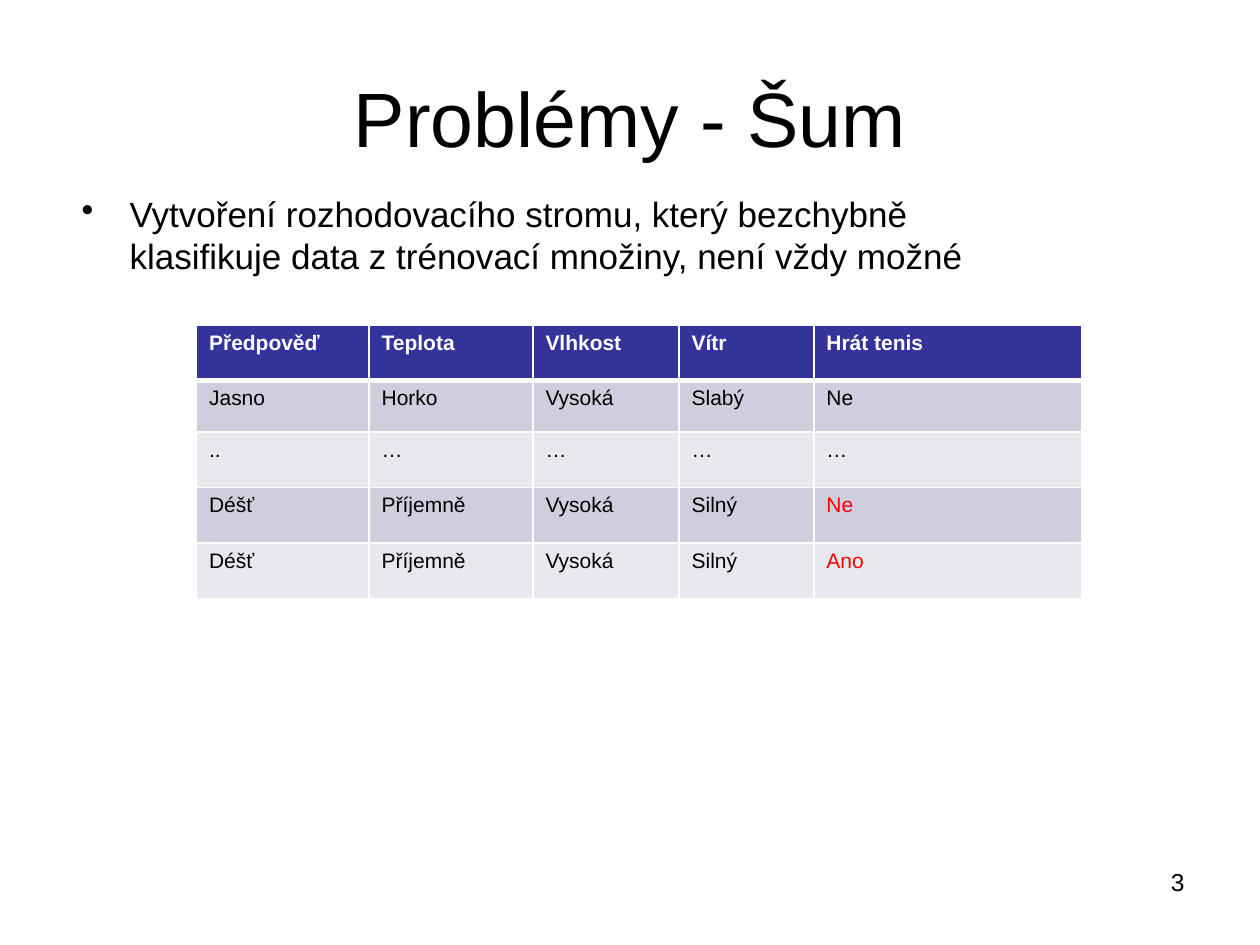
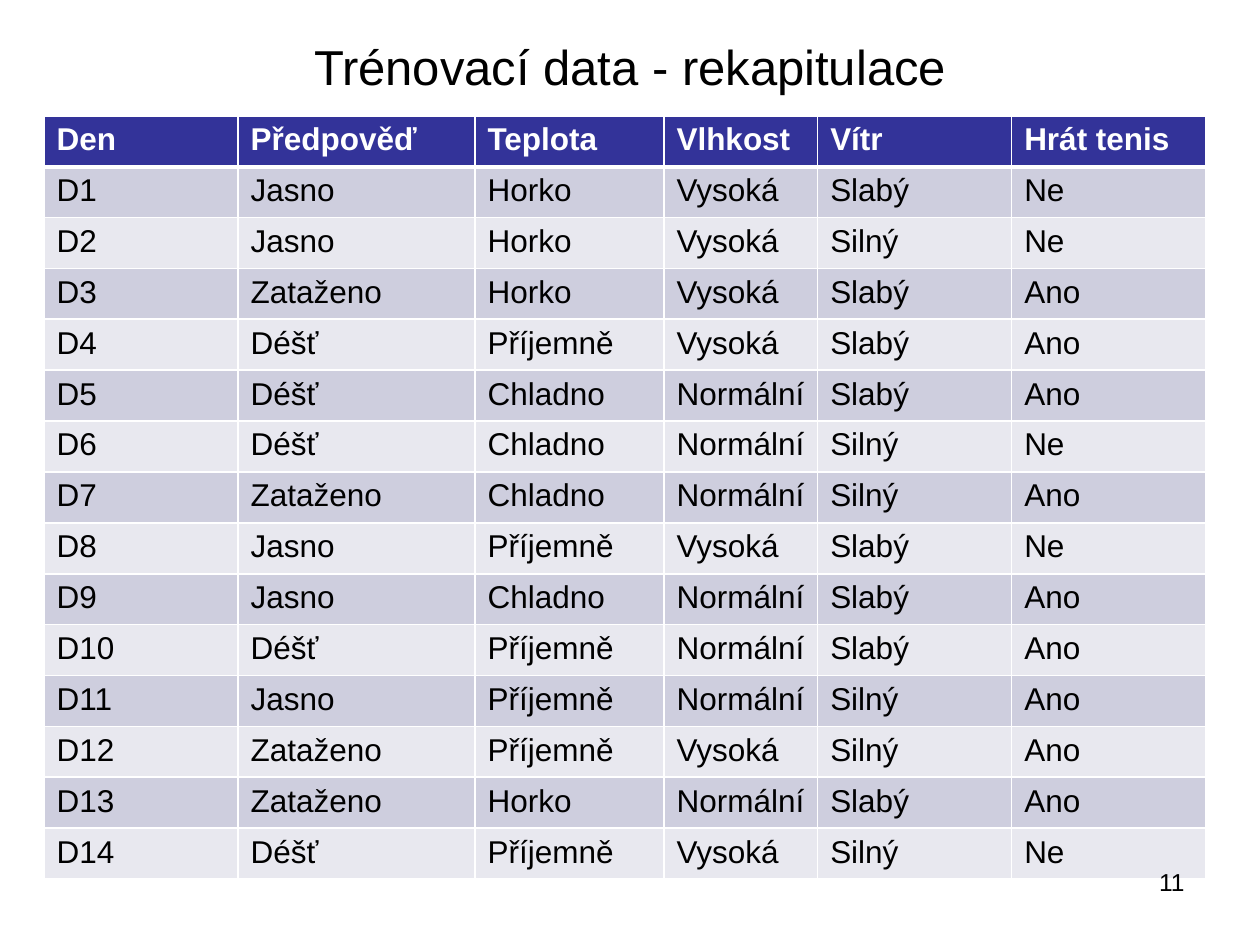
"""Build two slides about noise and training data for decision trees."""
from dataclasses import dataclass
from typing import Optional

import pptx
import pptx.dml.color
import pptx.enum.text
import pptx.oxml
import pptx.oxml.ns
import pptx.slide
import pptx.table
import pptx.text.text
import pptx.util

Inches = pptx.util.Inches
Align = pptx.enum.text.PP_ALIGN
Anchor = pptx.enum.text.MSO_ANCHOR

FONT = "Arial"
COLORS = {
    "text": "000000",
    "header": "333399",
    "header_text": "FFFFFF",
    "band_dark": "CECEDE",
    "band_light": "E8E8EF",
    "border": "FFFFFF",
    "conflict": "FF0000",
}
THIN, THICK = 1, 3


@dataclass(frozen=True)
class TextBox:
    left: float
    top: float
    width: float
    height: float
    size: int
    align: Align = Align.LEFT
    anchor: Anchor = Anchor.TOP
    bullet_indent: Optional[float] = None


@dataclass(frozen=True)
class DataTable:
    left: float
    top: float
    columns: tuple[float, ...]
    row_heights: tuple[float, ...]
    size: int
    rows: list[tuple[str, ...]]
    conflicts: frozenset[tuple[int, int]] = frozenset()


ATTRIBUTES = ("Předpověď", "Teplota", "Vlhkost", "Vítr", "Hrát tenis")
LARGE_TITLE = TextBox(0.5, 0.3, 9, 1.25, 44, Align.CENTER, Anchor.MIDDLE)
SMALL_TITLE = TextBox(0.5, 0.21, 9, 0.63, 28, Align.CENTER, Anchor.MIDDLE)
BODY = TextBox(0.55, 1.48, 7.73, 4.95, 20, bullet_indent=0.38)
SLIDE_NUMBER = TextBox(7.17, 6.83, 2.33, 0.52, 14, Align.RIGHT)

NOISE_TABLE = DataTable(
    1.56, 2.58, (1.37, 1.3, 1.16, 1.07, 2.13), (0.44, 0.41, 0.44, 0.44, 0.44), 12,
    [
        ATTRIBUTES,
        ("Jasno", "Horko", "Vysoká", "Slabý", "Ne"),
        ("..", "…", "…", "…", "…"),
        ("Déšť", "Příjemně", "Vysoká", "Silný", "Ne"),
        ("Déšť", "Příjemně", "Vysoká", "Silný", "Ano"),
    ],
    frozenset({(3, 4), (4, 4)}),
)

TRAINING_DAYS = (
    "Jasno Horko Vysoká Slabý Ne",
    "Jasno Horko Vysoká Silný Ne",
    "Zataženo Horko Vysoká Slabý Ano",
    "Déšť Příjemně Vysoká Slabý Ano",
    "Déšť Chladno Normální Slabý Ano",
    "Déšť Chladno Normální Silný Ne",
    "Zataženo Chladno Normální Silný Ano",
    "Jasno Příjemně Vysoká Slabý Ne",
    "Jasno Chladno Normální Slabý Ano",
    "Déšť Příjemně Normální Slabý Ano",
    "Jasno Příjemně Normální Silný Ano",
    "Zataženo Příjemně Vysoká Silný Ano",
    "Zataženo Horko Normální Slabý Ano",
    "Déšť Příjemně Vysoká Silný Ne",
)
TRAINING_HEIGHT = 6.02
SHORT_ROWS = (1, 9)
SHORT_HEIGHT = 0.38
ROW_COUNT = len(TRAINING_DAYS) + 1
FULL_HEIGHT = (TRAINING_HEIGHT - SHORT_HEIGHT * len(SHORT_ROWS)) / (ROW_COUNT - len(SHORT_ROWS))

TRAINING_TABLE = DataTable(
    0.35, 0.92, (1.54, 1.88, 1.5, 1.22, 1.54, 1.54),
    tuple(SHORT_HEIGHT if row in SHORT_ROWS else FULL_HEIGHT for row in range(ROW_COUNT)),
    18,
    [("Den", *ATTRIBUTES)]
    + [(f"D{day}", *values.split()) for day, values in enumerate(TRAINING_DAYS, 1)],
)


def color(name: str) -> pptx.dml.color.RGBColor:
    return pptx.dml.color.RGBColor.from_string(COLORS[name])


def add_run(paragraph: pptx.text.text._Paragraph, text: str, size: int,
            color_name: str = "text", bold: bool = False) -> None:
    run = paragraph.add_run()
    run.text = text
    run.font.name = FONT
    run.font.size = pptx.util.Pt(size)
    run.font.bold = bold
    run.font.color.rgb = color(color_name)


def add_bullet(paragraph: pptx.text.text._Paragraph, indent: float) -> None:
    properties = paragraph._p.get_or_add_pPr()
    properties.set("marL", str(Inches(indent)))
    properties.set("indent", str(-Inches(indent)))
    properties.append(pptx.oxml.parse_xml(
        f'<a:buChar {pptx.oxml.ns.nsdecls("a")} char="•"/>'))


def add_text(slide: pptx.slide.Slide, box: TextBox, text: str) -> None:
    shape = slide.shapes.add_textbox(
        Inches(box.left), Inches(box.top), Inches(box.width), Inches(box.height))
    frame = shape.text_frame
    frame.word_wrap = True
    frame.vertical_anchor = box.anchor
    paragraph = frame.paragraphs[0]
    paragraph.alignment = box.align
    if box.bullet_indent is not None:
        add_bullet(paragraph, box.bullet_indent)
    add_run(paragraph, text, box.size)


def set_borders(cell: pptx.table._Cell, top: int, bottom: int) -> None:
    properties = cell._tc.get_or_add_tcPr()
    widths = {"lnL": THIN, "lnR": THIN, "lnT": top, "lnB": bottom}
    for position, (side, width) in enumerate(widths.items()):
        properties.insert(position, pptx.oxml.parse_xml(
            f'<a:{side} {pptx.oxml.ns.nsdecls("a")} w="{pptx.util.Pt(width)}">'
            f'<a:solidFill><a:srgbClr val="{COLORS["border"]}"/></a:solidFill></a:{side}>'))


def add_table(slide: pptx.slide.Slide, data: DataTable) -> None:
    table = slide.shapes.add_table(
        len(data.rows), len(data.columns), Inches(data.left), Inches(data.top),
        Inches(sum(data.columns)), Inches(sum(data.row_heights))).table
    for column, width in zip(table.columns, data.columns):
        column.width = Inches(width)
    for row_index, (row, height) in enumerate(zip(table.rows, data.row_heights)):
        row.height = Inches(height)
        is_header = row_index == 0
        band = "header" if is_header else "band_dark" if row_index % 2 else "band_light"
        for column_index, (cell, text) in enumerate(zip(row.cells, data.rows[row_index])):
            text_color = "header_text" if is_header else "text"
            if (row_index, column_index) in data.conflicts:
                text_color = "conflict"
            cell.fill.solid()
            cell.fill.fore_color.rgb = color(band)
            set_borders(cell, THICK if row_index == 1 else THIN, THICK if is_header else THIN)
            add_run(cell.text_frame.paragraphs[0], text, data.size, text_color, is_header)


def add_slide(presentation: pptx.presentation.Presentation, title_box: TextBox, title: str,
              data: DataTable, number: int, body: str = "") -> None:
    slide = presentation.slides.add_slide(presentation.slide_layouts[6])
    add_text(slide, title_box, title)
    if body:
        add_text(slide, BODY, body)
    add_table(slide, data)
    add_text(slide, SLIDE_NUMBER, str(number))


def main() -> None:
    presentation = pptx.Presentation()
    presentation.slide_width = Inches(10)
    presentation.slide_height = Inches(7.5)
    add_slide(presentation, LARGE_TITLE, "Problémy - Šum", NOISE_TABLE, 3,
              "Vytvoření rozhodovacího stromu, který bezchybně klasifikuje data "
              "z trénovací množiny, není vždy možné")
    add_slide(presentation, SMALL_TITLE, "Trénovací data - rekapitulace", TRAINING_TABLE, 11)
    presentation.save("out.pptx")


if __name__ == "__main__":
    main()
